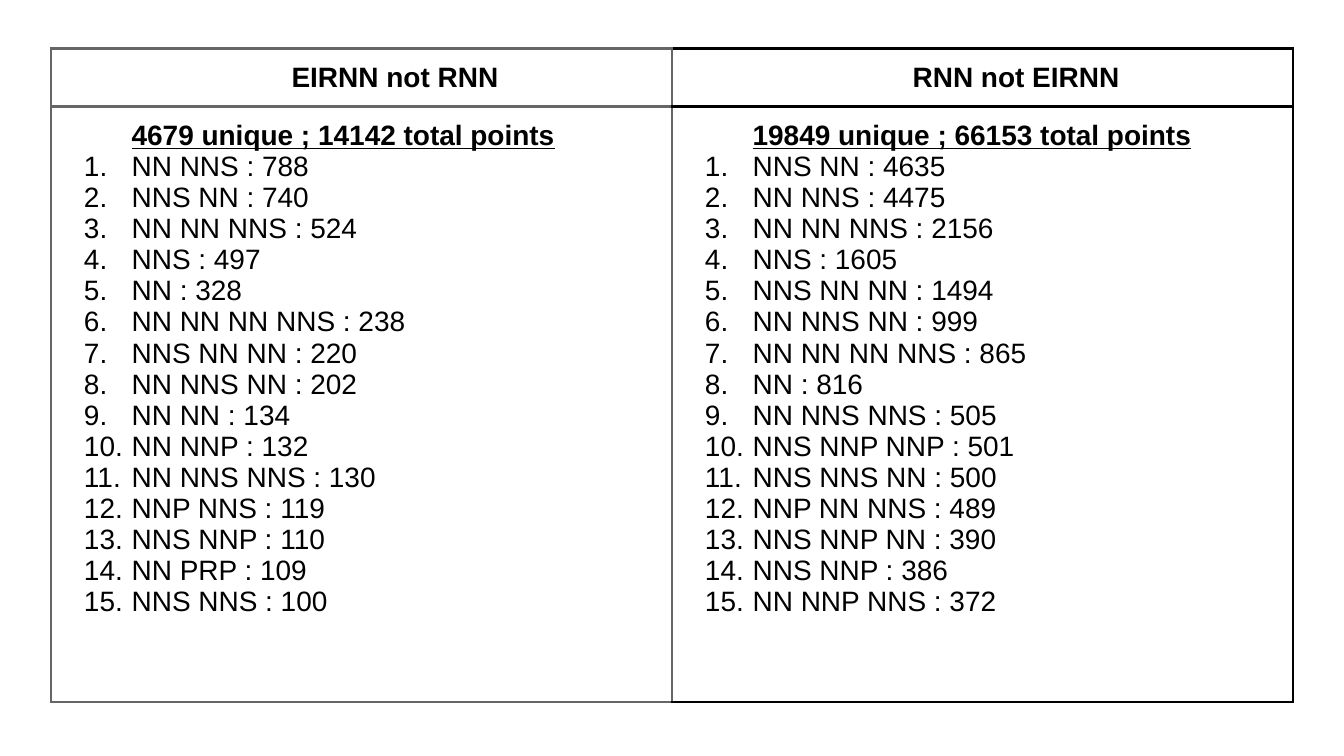
import pptx
import pptx.dml.color
import pptx.enum.text
import pptx.oxml
import pptx.oxml.ns
import pptx.util

Pt = pptx.util.Pt
BLACK, GREY = "000000", "666666"
HEADS = ["EIRNN not RNN", "RNN not EIRNN"]
SUMS = ["4679 unique ; 14142 total points", "19849 unique ; 66153 total points"]
RANKS = [
    ["NN NNS : 788", "NNS NN : 740", "NN NN NNS : 524", "NNS : 497",
     "NN : 328", "NN NN NN NNS : 238", "NNS NN NN : 220", "NN NNS NN : 202",
     "NN NN : 134", "NN NNP : 132", "NN NNS NNS : 130", "NNP NNS : 119",
     "NNS NNP : 110", "NN PRP : 109", "NNS NNS : 100"],
    ["NNS NN : 4635", "NN NNS : 4475", "NN NN NNS : 2156", "NNS : 1605",
     "NNS NN NN : 1494", "NN NNS NN : 999", "NN NN NN NNS : 865", "NN : 816",
     "NN NNS NNS : 505", "NNS NNP NNP : 501", "NNS NNS NN : 500",
     "NNP NN NNS : 489", "NNS NNP NN : 390", "NNS NNP : 386",
     "NN NNP NNS : 372"],
]


def paint(color, value):
    """Set a colour from a hex string."""
    color.rgb = pptx.dml.color.RGBColor.from_string(value)


def add_xml(parent, tag, inner="", **attrs):
    """Append a drawing element with the given attributes and content."""
    text = " ".join(f'{key}="{value}"' for key, value in attrs.items())
    space = pptx.oxml.ns.nsdecls("a")
    parent.append(pptx.oxml.parse_xml(f"<a:{tag} {space} {text}>{inner}</a:{tag}>"))


def style_cell(cell, sides):
    """Give a cell its margins, its four borders and no fill."""
    cell.margin_left = cell.margin_right = Pt(7.2)
    cell.margin_top = cell.margin_bottom = Pt(7.2)
    props = cell._tc.get_or_add_tcPr()
    for side in "LRTB":
        line = f'<a:solidFill><a:srgbClr val="{sides[side]}"/></a:solidFill>'
        add_xml(props, f"ln{side}", line, w=Pt(1.5))
    cell.fill.background()


def style_para(para, bold=False, under=False, rank=False):
    """Indent a paragraph, number it if ranked, and format its runs."""
    props = para._p.get_or_add_pPr()
    props.set("marL", str(Pt(36)))
    props.set("indent", str(Pt(-25.5 if rank else 0)))
    if rank:
        add_xml(props, "buClr", f'<a:srgbClr val="{BLACK}"/>')
        add_xml(props, "buFont", typeface="Arial")
        add_xml(props, "buAutoNum", type="arabicPeriod")
    else:
        add_xml(props, "buNone")
    for run in para.runs:
        font = run.font
        font.name, font.size = "Arial", Pt(15)
        font.bold, font.underline = bold, under
        paint(font.color, BLACK)


def add_ranks(slide, left, top, width, height):
    """Place the two-column table of ranked tag patterns in a box."""
    head = 31
    table = slide.shapes.add_table(
        2, 2, Pt(left), Pt(top), Pt(width), Pt(height)).table
    table.first_row = table.horz_banding = False
    table.rows[0].height, table.rows[1].height = Pt(head), Pt(height - head)
    for col, (title, total, ranks) in enumerate(zip(HEADS, SUMS, RANKS)):
        table.columns[col].width = Pt(width / 2)
        edge = BLACK if col else GREY
        sides = {"L": GREY, "R": edge if col else GREY, "T": edge, "B": edge}
        top_cell, body = table.cell(0, col), table.cell(1, col)
        style_cell(top_cell, sides)
        style_cell(body, sides)
        top_cell.text_frame.text = title
        para = top_cell.text_frame.paragraphs[0]
        para.alignment = pptx.enum.text.PP_ALIGN.CENTER
        style_para(para, bold=True)
        body.text_frame.text = "\n".join([total, *ranks])
        first, *rest = body.text_frame.paragraphs
        style_para(first, bold=True, under=True)
        for para in rest:
            style_para(para, rank=True)


def main():
    """Build and save the slide."""
    deck = pptx.Presentation()
    deck.slide_width, deck.slide_height = Pt(720), Pt(405)
    slide = deck.slides.add_slide(deck.slide_layouts[6])
    add_ranks(slide, 27.3, 26, 665.4, 350)
    deck.save("out.pptx")


if __name__ == "__main__":
    main()
